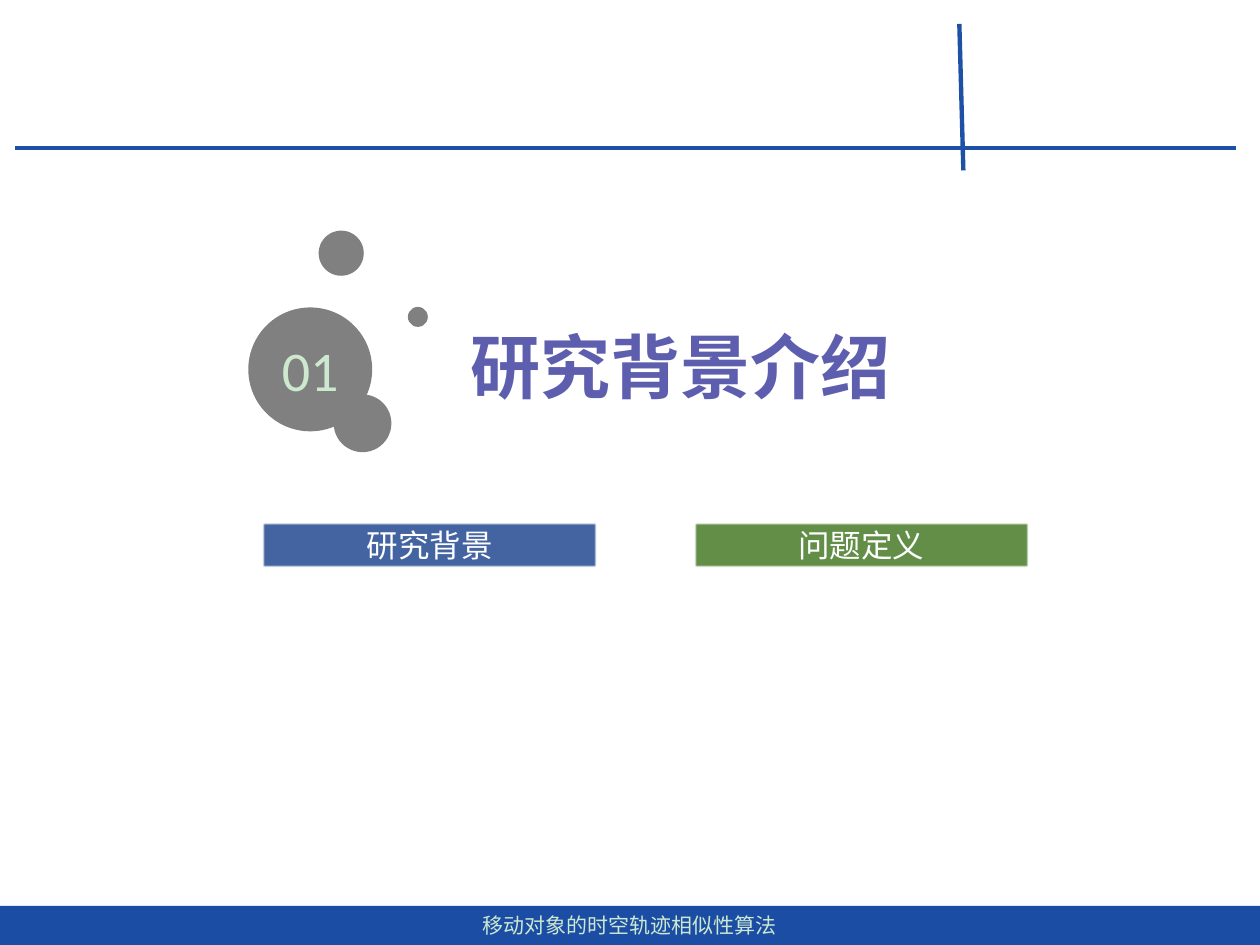
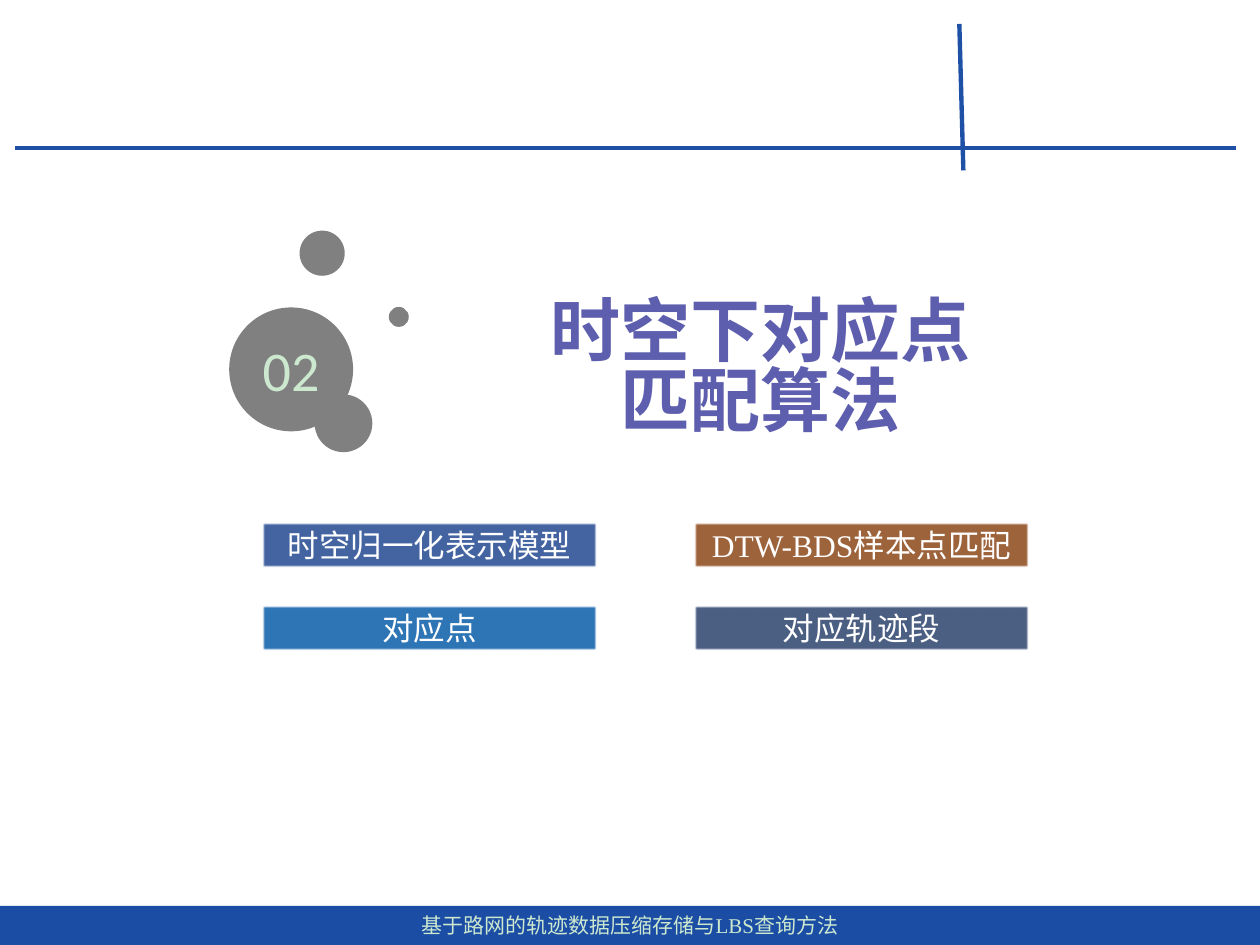
from pptx import Presentation
from pptx.dml.color import RGBColor
from pptx.enum.shapes import MSO_CONNECTOR, MSO_SHAPE
from pptx.enum.text import MSO_ANCHOR, PP_ALIGN
from pptx.oxml.ns import qn
from pptx.util import Pt
from lxml.etree import SubElement

RULE_BLUE = "1E50A6"
FOOTER_BLUE = "1B4DA5"
TITLE_PURPLE = "5E5EAF"
CIRCLE_GREY = "808080"
PALE_GREEN = "CCE8CF"
WHITE = "FFFFFF"
CHINESE_FONT = "Noto Sans CJK SC"

# Left, top and diameter; the left edge is relative to the large circle.
CIRCLES = [(0, 175.7, 70.8), (48.8, 225.4, 33), (40.2, 131.8, 25.8), (91.2, 175.4, 11.4)]
RULES = [(8.8, 84.6, 706.3, 84.6), (548.2, 13.7, 550.5, 97.4)]
BAR_LEFT, BAR_TOP, BAR_WIDTH, BAR_HEIGHT = 150.2, 298.8, 190.6, 25.4
COLUMN_STEP, ROW_STEP = 246.8, 47.5

SECTIONS = [
    {
        "number": "01", "circle_left": 141.9,
        "title": "研究背景介绍", "title_left": 143.3, "title_width": 491, "line_spacing": 0.9,
        "footer": "移动对象的时空轨迹相似性算法", "footer_font": CHINESE_FONT,
        "bars": [("研究背景", "2F5597", 90), ("问题定义", "548235", 90)],
    },
    {
        "number": "02", "circle_left": 131,
        "title": "时空下对应点\n匹配算法", "title_left": 195.1, "title_width": 478.8, "line_spacing": 0.83,
        "footer": "基于路网的轨迹数据压缩存储与LBS查询方法", "footer_font": "Times New Roman",
        "bars": [
            ("时空归一化表示模型", "2F5597", 90), ("DTW-BDS样本点匹配", "843C0B", 80),
            ("对应点", "2E75B6", 100), ("对应轨迹段", "203864", 80),
        ],
    },
]


def paint(fill, colour, opacity=100):
    """Give a shape, line or font fill a solid colour; opacity is in percent."""
    fill.solid()
    fill.fore_color.rgb = RGBColor.from_string(colour)
    if opacity < 100:
        colour_element = fill._xPr.find(qn("a:solidFill")).find(qn("a:srgbClr"))
        SubElement(colour_element, qn("a:alpha"), val=str(opacity * 1000))


def write(shape, text, size, colour, font="Times New Roman", bold=False, line_spacing=1.0):
    frame = shape.text_frame
    frame.text = text
    frame.word_wrap = True
    frame.vertical_anchor = MSO_ANCHOR.MIDDLE
    frame.margin_top = frame.margin_bottom = 0
    for paragraph in frame.paragraphs:
        paragraph.alignment = PP_ALIGN.CENTER
        paragraph.line_spacing = line_spacing
        paragraph.space_before = Pt(0)
        for run in paragraph.runs:
            run.font.size = Pt(size)
            run.font.bold = bold
            run.font.name = font
            paint(run.font.fill, colour)
            SubElement(run.font._element, qn("a:ea"), typeface=CHINESE_FONT)


presentation = Presentation()
presentation.slide_width = Pt(720)
presentation.slide_height = Pt(540)
title_only = presentation.slide_layouts[5]

for section in SECTIONS:
    slide = presentation.slides.add_slide(title_only)
    shapes = slide.shapes

    title = shapes.title
    title.left, title.top = Pt(section["title_left"]), Pt(149.8)
    title.width, title.height = Pt(section["title_width"]), Pt(123.8)
    write(title, section["title"], size=40, colour=TITLE_PURPLE, font=CHINESE_FONT,
          bold=True, line_spacing=section["line_spacing"])

    for ends in RULES:
        rule = shapes.add_connector(MSO_CONNECTOR.STRAIGHT, *map(Pt, ends))
        rule.line.width = Pt(2.5)
        paint(rule.line.fill, RULE_BLUE)
        SubElement(rule._element.spPr, qn("a:effectLst"))

    for index, (text, colour, opacity) in enumerate(section["bars"]):
        row, column = divmod(index, 2)
        bar = shapes.add_shape(
            MSO_SHAPE.RECTANGLE, Pt(BAR_LEFT + column * COLUMN_STEP),
            Pt(BAR_TOP + row * ROW_STEP), Pt(BAR_WIDTH), Pt(BAR_HEIGHT))
        bar.shadow.inherit = False
        bar.line.fill.background()
        paint(bar.fill, colour, opacity)
        bar.text_frame.margin_left = bar.text_frame.margin_right = Pt(3)
        write(bar, text, size=18, colour=WHITE)
        effects = bar._element.spPr.find(qn("a:effectLst"))
        SubElement(effects, qn("a:softEdge"), rad=str(Pt(1)))

    for index, (offset, top, diameter) in enumerate(CIRCLES):
        circle = shapes.add_shape(
            MSO_SHAPE.FLOWCHART_CONNECTOR, Pt(section["circle_left"] + offset),
            Pt(top), Pt(diameter), Pt(diameter))
        circle.shadow.inherit = False
        circle.line.fill.background()
        paint(circle.fill, CIRCLE_GREY)
        if index == 0:
            write(circle, section["number"], size=32, colour=PALE_GREEN, font="Calibri")

    footer = shapes.add_shape(MSO_SHAPE.RECTANGLE, Pt(0), Pt(517.7), Pt(720), Pt(22.3))
    footer.shadow.inherit = False
    footer.line.fill.background()
    paint(footer.fill, FOOTER_BLUE)
    write(footer, section["footer"], size=12, colour=PALE_GREEN, font=section["footer_font"])

presentation.save("out.pptx")
